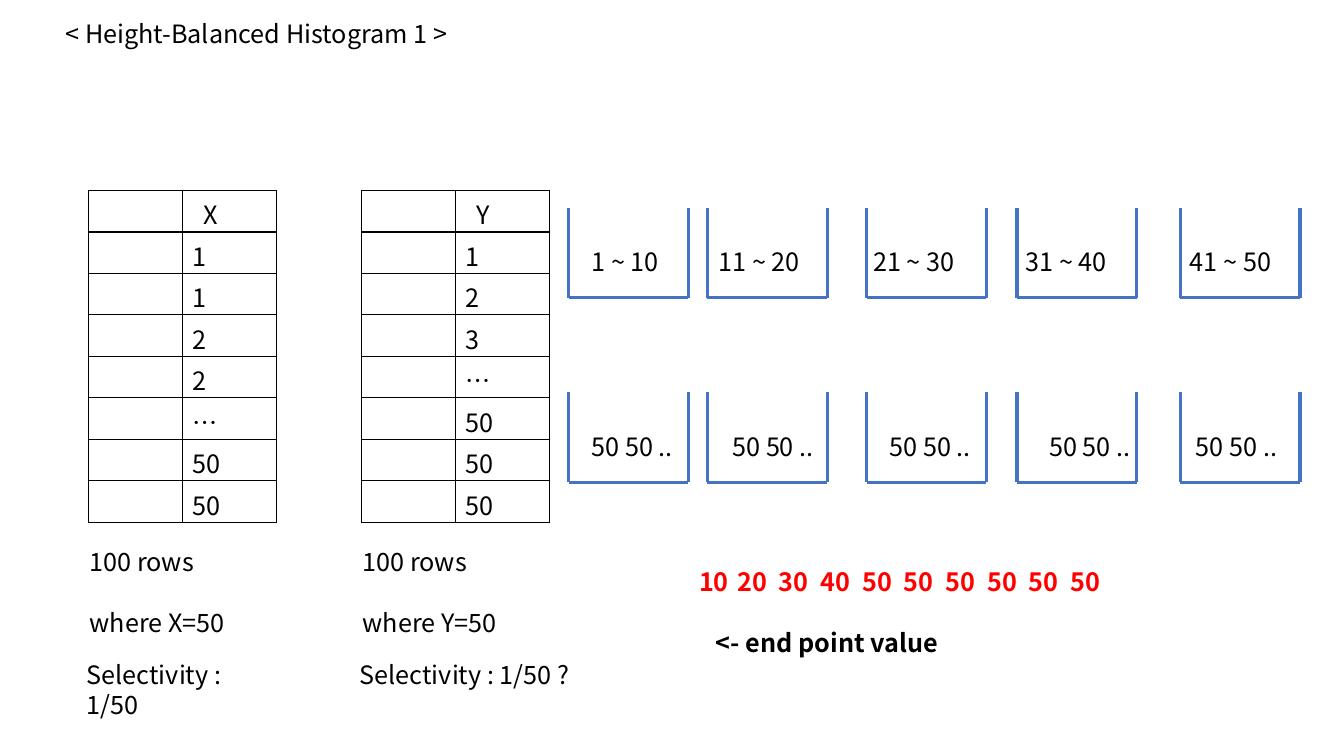
from lxml import etree
from pptx import Presentation
from pptx.dml.color import RGBColor
from pptx.enum import shapes, text
from pptx.oxml import ns
from pptx.util import Cm, Pt

COLORS = {"ink": "000000", "bucket": "4472C4", "end_point": "FF0000"}
FONT = "Noto Sans CJK KR"
LINE_GAP = 0.77
BUCKET_LEFTS = [14.33, 17.83, 21.84, 25.63, 29.74]
BUCKET_WIDTH, BUCKET_HEIGHT = 3.02, 2.27
BUCKET_ROWS = [
    (5.23, ["1 ~ 10", "11 ~ 20", "21 ~ 30", "31 ~ 40", "41 ~ 50"],
     [0.33, 0.03, -0.08, -0.03, 0]),
    (9.88, ["50 50 .."] * 5, [0.33, 0.38, 0.33, 0.56, 0.15]),
]
END_POINTS = [10, 20, 30, 40, 50, 50, 50, 50, 50, 50]


def write(paragraph, words, color="ink", bold=False, before=0):
    if before:
        paragraph.space_before = Cm(before)
    run = paragraph.add_run()
    run.text = words
    run.font.size = Pt(18)
    run.font.bold = bold
    run.font.color.rgb = RGBColor.from_string(COLORS[color])
    run.font.name = FONT
    etree.SubElement(run.font._element, ns.qn("a:ea"), typeface=FONT)


def add_text_frame(slide, left, top, width, height=1.03):
    frame = slide.shapes.add_textbox(Cm(left), Cm(top), Cm(width), Cm(height)).text_frame
    frame.word_wrap = True
    frame.auto_size = text.MSO_AUTO_SIZE.SHAPE_TO_FIT_TEXT
    return frame


def add_label(slide, words, left, top, width, **style):
    write(add_text_frame(slide, left, top, width).paragraphs[0], words, **style)


def add_edge(slide, start, end):
    edge = slide.shapes.add_connector(
        shapes.MSO_CONNECTOR.STRAIGHT, *map(Cm, start + end))
    edge.line.color.rgb = RGBColor.from_string(COLORS["bucket"])
    edge.line.width = Pt(2.25)
    etree.SubElement(edge._element.spPr, ns.qn("a:effectLst"))


def add_bucket(slide, left, top, width, height, label, label_offset):
    right, bottom = left + width, top + height
    add_edge(slide, (left, top), (left, bottom))
    add_edge(slide, (right, top), (right, bottom))
    add_edge(slide, (left, bottom), (right, bottom))
    add_label(slide, label, left + label_offset, top + 0.86, width)


def outline_cell(cell):
    cell.fill.background()
    properties = cell._tc.get_or_add_tcPr()
    for position, side in enumerate(("lnL", "lnR", "lnT", "lnB")):
        border = etree.Element(ns.qn(f"a:{side}"), w=str(Pt(1)))
        fill = etree.SubElement(border, ns.qn("a:solidFill"))
        etree.SubElement(fill, ns.qn("a:srgbClr"), val=COLORS["ink"])
        properties.insert(position, border)


def add_column_sample(slide, left, top, name, values, selectivity, selectivity_width):
    entries = [name] + values
    sample = slide.shapes.add_table(
        len(entries), 2, Cm(left), Cm(top), Cm(4.72), Cm(8.36)).table
    sample.first_row = sample.horz_banding = False
    for row, entry in zip(sample.rows, entries):
        for cell in row.cells:
            outline_cell(cell)
        write(row.cells[1].text_frame.paragraphs[0], entry)
    sample.cell(0, 1).margin_left = Cm(0.53)

    query = add_text_frame(slide, left - 0.23, top + 8.84, 5.26, 2.57)
    write(query.paragraphs[0], "100 rows")
    write(query.add_paragraph(), f"where {name}=50", before=LINE_GAP)
    add_label(slide, selectivity, left - 0.3, top + 11.68, selectivity_width)


def add_end_points(slide, left, top, width):
    frame = add_text_frame(slide, left, top, width, 2.57)
    values = frame.paragraphs[0]
    stops = etree.SubElement(values._p.get_or_add_pPr(), ns.qn("a:tabLst"))
    for index in range(len(END_POINTS) - 1):
        etree.SubElement(stops, ns.qn("a:tab"),
                         pos=str(Cm(0.96 + 1.05 * index)), algn="l")
    write(values, "\t".join(map(str, END_POINTS)), color="end_point", bold=True)
    caption = frame.add_paragraph()
    caption._p.get_or_add_pPr().set("marL", str(Cm(0.42)))
    write(caption, "<- end point value", bold=True, before=LINE_GAP)


def main():
    deck = Presentation()
    deck.slide_width, deck.slide_height = Cm(33.87), Cm(19.05)
    slide = deck.slides.add_slide(deck.slide_layouts[6])
    add_label(slide, "< Height-Balanced Histogram 1 >", 1.4, 0.33, 16.94)
    add_column_sample(slide, 2.24, 4.8, "X", ["1", "1", "2", "2", "…", "50", "50"],
                      "Selectivity : 1/50", 5.26)
    add_column_sample(slide, 9.12, 4.8, "Y", ["1", "2", "3", "…", "50", "50", "50"],
                      "Selectivity : 1/50 ?", 6.35)
    for top, labels, offsets in BUCKET_ROWS:
        for left, label, offset in zip(BUCKET_LEFTS, labels, offsets):
            add_bucket(slide, left, top, BUCKET_WIDTH, BUCKET_HEIGHT, label, offset)
    add_end_points(slide, 17.37, 14.15, 15.4)
    deck.save("out.pptx")


if __name__ == "__main__":
    main()
